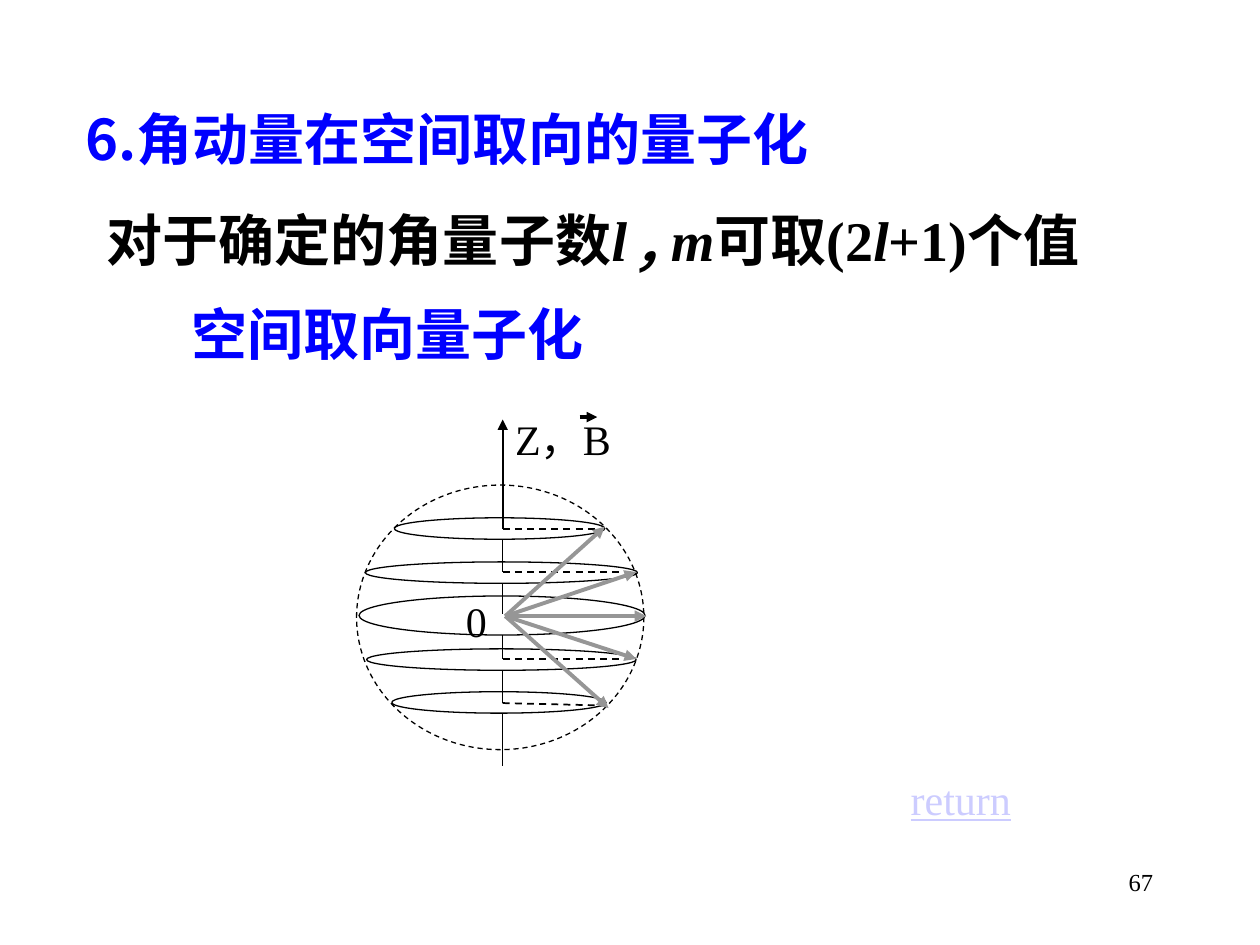
from lxml import etree
from pptx import Presentation
from pptx.dml.color import RGBColor
from pptx.enum import dml, shapes, text
from pptx.oxml import ns
from pptx.util import Inches, Pt

BLACK = RGBColor(0, 0, 0)
BLUE = RGBColor(0, 0, 255)
GRAY = RGBColor(0x96, 0x96, 0x96)
LINK = RGBColor(0xCC, 0xCC, 0xFF)
WHITE = RGBColor(255, 255, 255)
CJK = "Noto Sans CJK SC"
TIMES = "Times New Roman"
LEFT, RIGHT, JUSTIFY = text.PP_ALIGN.LEFT, text.PP_ALIGN.RIGHT, text.PP_ALIGN.JUSTIFY

# Text: (left, top, width, height), size, colour, bold, alignment, runs (words, font, italic)
HEADINGS = [
    ((0.58, 0.78, 6.42, 0.63), 32, BLUE, True, JUSTIFY, [("6.角动量在空间取向的量子化", CJK, False)]),
    ((0.75, 1.58, 8.58, 0.63), 32, BLACK, True, LEFT, [
        ("对于确定的角量子数", CJK, False), ("l", TIMES, True), (" , ", CJK, True),
        ("m", TIMES, True), ("可取", CJK, False), ("(2", TIMES, False),
        ("l", TIMES, True), ("+1)", TIMES, False), ("个值", CJK, False)]),
    ((1.42, 2.33, 3.75, 0.63), 32, BLUE, True, LEFT, [("空间取向量子化", CJK, False)]),
    ((7.17, 6.83, 2.08, 0.5), 14, BLACK, False, RIGHT, [("67", TIMES, False)]),
]
LABELS = [
    ((3.6, 4.68, 0.3, 0.42), 24, BLACK, False, JUSTIFY, [("0", TIMES, False)]),
    ((3.99, 3.23, 1.21, 0.44), 24, BLACK, False, JUSTIFY, [("Z，B", TIMES, False)]),
]
RETURN = ((7.13, 6.09, 1, 0.5), 24, LINK, False, LEFT, [("return", TIMES, False)])

# Diagram
AXIS_X, ORIGIN = 3.99, (4.01, 4.89)
SPHERE = (2.83, 3.85, 2.28, 2.1)
RINGS = [(3.13, 4.11, 1.67, 0.17), (2.9, 4.46, 2.16, 0.17), (2.85, 4.73, 2.27, 0.31),
         (2.91, 5.15, 2.14, 0.17), (3.11, 5.49, 1.7, 0.17)]
AXIS_PARTS = [(4.28, 4.54), (4.63, 4.87), (5.04, 5.23), (5.32, 5.58), (5.67, 6.08)]
RADII = [(4.2, 4.77, 4.2), (4.54, 5.04, 4.54), (5.23, 5.04, 5.23), (5.58, 4.83, 5.6)]
VECTOR_TIPS = [(4.8, 4.18), (5.05, 4.54), (5.13, 4.89), (5.05, 5.23), (4.83, 5.62)]

deck = Presentation()
deck.slide_width, deck.slide_height = Inches(10), Inches(7.5)
page = deck.slides.add_slide(deck.slide_layouts[6])


def add_text(place, size, color, bold, align, runs, wrap=True):
    box = page.shapes.add_textbox(*map(Inches, place))
    box.text_frame.word_wrap = wrap
    para = box.text_frame.paragraphs[0]
    para.alignment = align
    for words, font, italic in runs:
        span = para.add_run()
        span.text = words
        span.font.size, span.font.name = Pt(size), font
        span.font.bold, span.font.italic = bold, italic
        span.font.color.rgb = color
        if font == CJK:
            east = etree.SubElement(span.font._element, ns.qn("a:ea"))
            east.set("typeface", font)
    return box


def add_ellipse(place, dashed=False):
    ring = page.shapes.add_shape(shapes.MSO_SHAPE.OVAL, *map(Inches, place))
    ring.shadow.inherit = False
    ring.fill.background()
    ring.line.color.rgb, ring.line.width = BLACK, Pt(0.75)
    if dashed:
        ring.line.dash_style = dml.MSO_LINE.DASH


def add_line(start, end, width, color=BLACK, dashed=False, arrow=False):
    line = page.shapes.add_connector(shapes.MSO_CONNECTOR.STRAIGHT, *map(Inches, start + end))
    line.line.color.rgb, line.line.width = color, Pt(width)
    if dashed:
        line.line.dash_style = dml.MSO_LINE.DASH
    if arrow:
        etree.SubElement(line.line._get_or_add_ln(), ns.qn("a:tailEnd")).set("type", "triangle")
    etree.SubElement(line._element.spPr, ns.qn("a:effectLst"))


for heading in HEADINGS:
    add_text(*heading)

# Labels on white, with the vector mark over B
for label in LABELS:
    box = add_text(*label)
    box.fill.solid()
    box.fill.fore_color.rgb = WHITE
add_line((4.6, 3.31), (4.74, 3.31), 0, arrow=True)

# Sphere, rings and the broken vertical axis
add_ellipse(SPHERE, dashed=True)
for ring_place in RINGS:
    add_ellipse(ring_place)
add_line((AXIS_X, 4.2), (AXIS_X, 3.33), 1, arrow=True)
for top, bottom in AXIS_PARTS:
    add_line((AXIS_X, top), (AXIS_X, bottom), 0.75)

# Ring radii and angular momentum vectors
for start_y, end_x, end_y in RADII:
    add_line((AXIS_X, start_y), (end_x, end_y), 1, dashed=True)
for tip in VECTOR_TIPS:
    add_line(ORIGIN, tip, 2.25, GRAY, arrow=True)

# Return label
return_box = add_text(*RETURN, wrap=False)
return_box.text_frame.paragraphs[0].runs[0].font.underline = True

deck.save("out.pptx")
